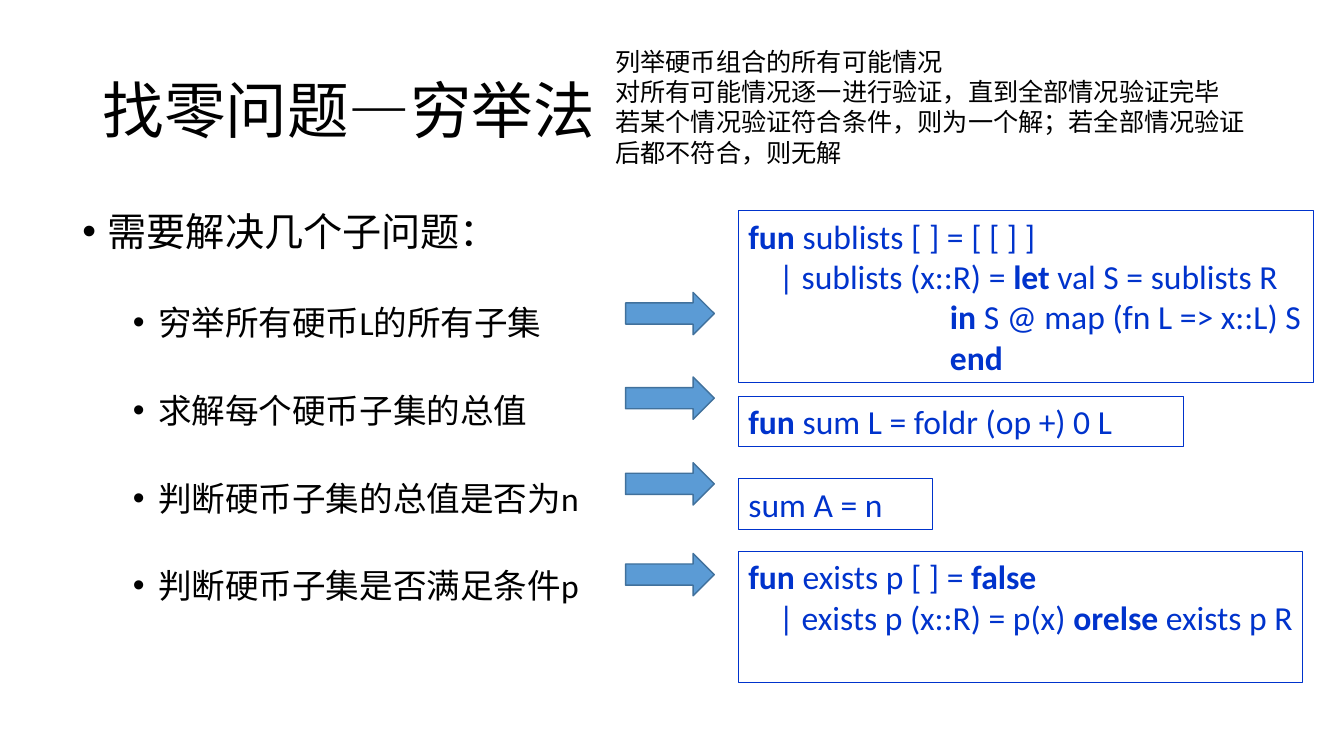
from lxml import etree
from pptx import Presentation
from pptx import util as u
from pptx.dml.color import RGBColor
from pptx.enum import shapes, text
from pptx.oxml import ns


def rgb(value):
    return RGBColor.from_string(value)


class Deck:
    """One slide and its style; places are percent of the slide's size."""
    INK, CODE = "000000", "0033CC"
    ARROW_FILL, ARROW_LINE = "5B9BD5", "41719C"
    FONT, NOTE_FONT = "Calibri", "Arial"

    def __init__(self, width, height):
        self.prs = Presentation()
        self.prs.slide_width, self.prs.slide_height = u.Inches(width), u.Inches(height)
        self.slide = self.prs.slides.add_slide(self.prs.slide_layouts[6])

    def place(self, x, y, w, h):
        sw, sh = self.prs.slide_width, self.prs.slide_height
        return [int(n * size / 100) for n, size in ((x, sw), (y, sh), (w, sw), (h, sh))]

    def text(self, at, anchor=text.MSO_ANCHOR.TOP):
        sp = self.slide.shapes.add_textbox(*self.place(*at))
        tf = sp.text_frame
        tf.word_wrap = True
        tf.vertical_anchor = anchor
        return sp

    def line(self, sp, words, size, color=INK, font=FONT, indent=0.0,
             bullet=False, spacing=1.0, before=0):
        """Add a paragraph; parts between double asterisks are bold."""
        tf = sp.text_frame
        p = tf.paragraphs[0] if not tf.paragraphs[0].runs else tf.add_paragraph()
        p.line_spacing, p.space_before = spacing, u.Pt(before)
        pPr = p._p.get_or_add_pPr()
        pPr.set("marL", str(u.Inches(indent)))
        pPr.set("indent", str(u.Inches(-0.25 if bullet else 0)))
        if bullet:
            etree.SubElement(pPr, ns.qn("a:buFont")).set("typeface", "Arial")
            etree.SubElement(pPr, ns.qn("a:buChar")).set("char", "•")
        for i, part in enumerate(words.split("**")):
            if part:
                r = p.add_run()
                r.text = part
                r.font.size, r.font.name = u.Pt(size), font
                r.font.bold = i % 2 == 1
                r.font.color.rgb = rgb(color)

    def code_box(self, at, lines):
        sp = self.text(at)
        sp.line.color.rgb, sp.line.width = rgb(self.CODE), u.Pt(0.75)
        for indent, words in lines:
            self.line(sp, words, 24, self.CODE, indent=indent)

    def arrow(self, at):
        sp = self.slide.shapes.add_shape(shapes.MSO_SHAPE.RIGHT_ARROW, *self.place(*at))
        sp.shadow.inherit = False
        sp.fill.solid()
        sp.fill.fore_color.rgb = rgb(self.ARROW_FILL)
        sp.line.color.rgb, sp.line.width = rgb(self.ARROW_LINE), u.Pt(1)


def main():
    deck = Deck(13.34, 7.5)

    # Title
    title = deck.text((6.9, 5.33, 86.2, 19.33), text.MSO_ANCHOR.MIDDLE)
    deck.line(title, "找零问题—穷举法", 44, spacing=0.9)

    # Subproblems
    tasks = deck.text((5.4, 27.47, 43.33, 57.87))
    deck.line(tasks, "需要解决几个子问题：", 28, indent=0.25, bullet=True,
              spacing=0.9, before=10)
    for task in ("穷举所有硬币L的所有子集", "求解每个硬币子集的总值",
                 "判断硬币子集的总值是否为n", "判断硬币子集是否满足条件p"):
        deck.line(tasks, task, 24, indent=0.75, bullet=True, spacing=2.0, before=5)

    # Arrows from subproblem to code
    for top in (38.67, 49.87, 61.2, 73.2):
        deck.arrow((46.55, top, 6.6, 5.6))

    # Code: top, width, height, lines with their indents
    for top, width, height, lines in (
        (27.87, 42.8, 22.67, [
            (0, "**fun** sublists [ ] = [ [ ] ]"),
            (0.3, "| sublists (x::R) = **let** val S = sublists R"),
            (2, "**in **S @ map (fn L => x::L) S"),
            (2, "**end**")]),
        (52.4, 33.13, 6.67, [(0, "**fun **sum L = foldr (op +) 0 L")]),
        (63.33, 14.47, 6.67, [(0, "sum A = n")]),
        (72.93, 41.98, 17.33, [
            (0, "**fun** exists p [ ] = **false**"),
            (0.3, "| exists p (x::R) = p(x) **orelse** exists p R")]),
    ):
        deck.code_box((54.95, top, width, height), lines)

    # Explanation of the method
    note = deck.text((37.56, 5.47, 56.37, 17.33))
    for words in ("列举硬币组合的所有可能情况",
                  "对所有可能情况逐一进行验证，直到全部情况验证完毕",
                  "若某个情况验证符合条件，则为一个解；若全部情况验证后都不符合，则无解"):
        deck.line(note, words, 18, font=deck.NOTE_FONT, indent=1)

    deck.prs.save("out.pptx")


if __name__ == "__main__":
    main()
